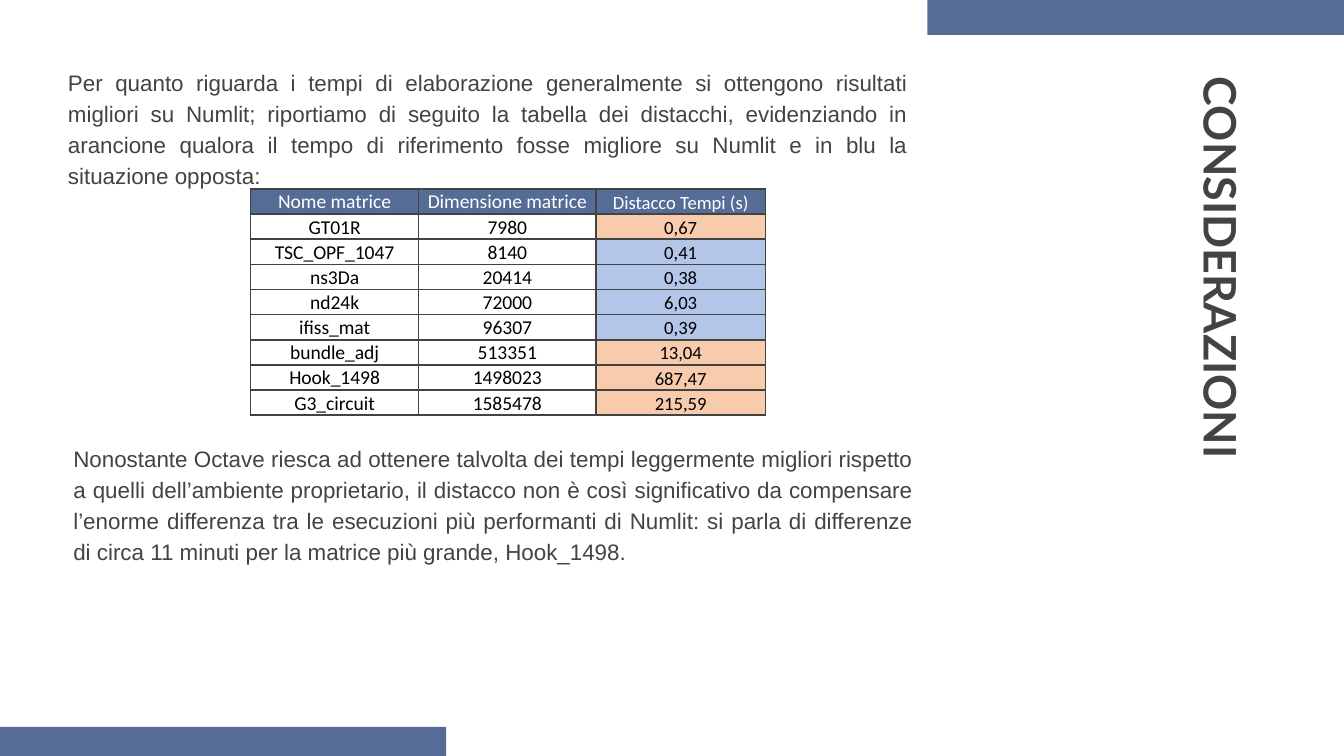
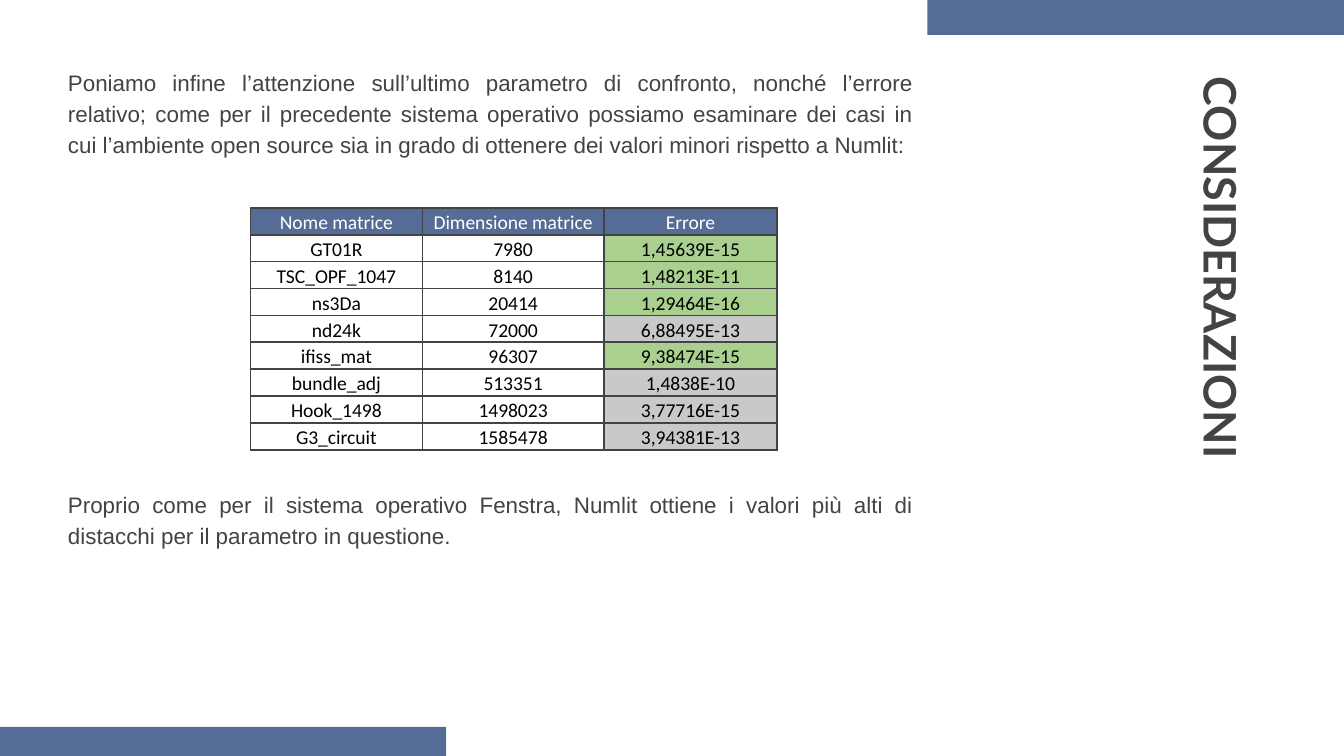
import pptx
import pptx.dml.color
import pptx.enum.shapes
import pptx.enum.text
import pptx.oxml
import pptx.oxml.ns
import pptx.util

WIDTH = pptx.util.Inches(10)
HEIGHT = WIDTH * 9 // 16
COLORS = {
    "band": "556D96", "text": "434343", "white": "FFFFFF", "black": "000000",
    "orange": "F8CBAD", "blue": "B4C6E7", "green": "A9D08E", "grey": "C9C9C9",
}
ALIGN = pptx.enum.text.PP_ALIGN
ANCHOR = pptx.enum.text.MSO_ANCHOR
MATRICES = [
    ("GT01R", "7980"), ("TSC_OPF_1047", "8140"), ("ns3Da", "20414"),
    ("nd24k", "72000"), ("ifiss_mat", "96307"), ("bundle_adj", "513351"),
    ("Hook_1498", "1498023"), ("G3_circuit", "1585478"),
]
TIME_GAPS = [
    ("0,67", "orange"), ("0,41", "blue"), ("0,38", "blue"), ("6,03", "blue"),
    ("0,39", "blue"), ("13,04", "orange"), ("687,47", "orange"), ("215,59", "orange"),
]
ERRORS = [
    ("1,45639E-15", "green"), ("1,48213E-11", "green"), ("1,29464E-16", "green"),
    ("6,88495E-13", "grey"), ("9,38474E-15", "green"), ("1,4838E-10", "grey"),
    ("3,77716E-15", "grey"), ("3,94381E-13", "grey"),
]


def col(n):
    """Return the length of n of the slide's 100 columns."""
    return int(WIDTH * n / 100)


def row(n):
    """Return the length of n of the slide's 100 rows."""
    return int(HEIGHT * n / 100)


def box(left, top, width, height):
    """Turn grid units into a left, top, width, height tuple."""
    return col(left), row(top), col(width), row(height)


def rgb(name):
    """Look up a palette colour."""
    return pptx.dml.color.RGBColor.from_string(COLORS[name])


def write(tf, text, size=12, font="Arial", color="text", bold=False,
          align=ALIGN.LEFT, spacing=1.0):
    """Write one formatted paragraph into a text frame."""
    p = tf.paragraphs[0]
    p.alignment = align
    p.line_spacing = spacing
    r = p.add_run()
    r.text = text
    r.font.size = pptx.util.Pt(size)
    r.font.name = font
    r.font.bold = bold
    r.font.color.rgb = rgb(color)


def prepare(tf):
    """Give a text frame the shared margins, wrapping and top anchor."""
    tf.word_wrap = True
    tf.auto_size = pptx.enum.text.MSO_AUTO_SIZE.NONE
    tf.vertical_anchor = ANCHOR.TOP
    tf.margin_left = tf.margin_right = pptx.util.Inches(0.1)
    tf.margin_top = tf.margin_bottom = pptx.util.Inches(0.1)


def add_band(slide, *place):
    """Draw one plain coloured band."""
    sp = slide.shapes.add_shape(pptx.enum.shapes.MSO_SHAPE.RECTANGLE, *box(*place))
    sp.shadow.inherit = False
    sp.fill.solid()
    sp.fill.fore_color.rgb = rgb("band")
    sp.line.fill.background()


def add_base(prs, title):
    """Add a slide with its vertical title and two bands."""
    slide = prs.slides.add_slide(prs.slide_layouts[5])
    sp = slide.shapes.title
    sp.left, sp.top, sp.width, sp.height = box(72.2, 37.55, 38.1, 9.42)
    sp.rotation = 90
    prepare(sp.text_frame)
    write(sp.text_frame, title, size=24, font="Lato", bold=True)
    add_band(slide, 69, 0, 31, 4.62)
    add_band(slide, 0, 96.15, 33.2, 3.85)
    return slide


def add_body(slide, text, *place):
    """Add a justified paragraph."""
    tf = slide.shapes.add_textbox(*box(*place)).text_frame
    prepare(tf)
    write(tf, text, align=ALIGN.JUSTIFY, spacing=1.15)


def add_borders(cell):
    """Outline a cell on all four sides with a one-point line."""
    ns = pptx.oxml.ns.nsdecls("a")
    for side in "LRTB":
        cell._tc.get_or_add_tcPr().append(pptx.oxml.parse_xml(
            f'<a:ln{side} {ns} w="12700"><a:solidFill>'
            f'<a:srgbClr val="{COLORS["text"]}"/></a:solidFill></a:ln{side}>'))


def fill_cell(cell, text, size, color, fill):
    """Format one table cell and write its text."""
    cell.vertical_anchor = ANCHOR.BOTTOM
    cell.margin_left = cell.margin_right = cell.margin_top = pptx.util.Inches(0.01)
    cell.margin_bottom = 0
    add_borders(cell)
    if fill:
        cell.fill.solid()
        cell.fill.fore_color.rgb = rgb(fill)
    else:
        cell.fill.background()
    write(cell.text_frame, text, size=size, font="Calibri", color=color,
          align=ALIGN.CENTER)


def add_matrix_table(slide, measure, results, left, top, widths, row_height,
                     result_size=10.5):
    """Add the table of matrices with one coloured column of results."""
    heads = ("Nome matrice", "Dimensione matrice", measure)
    lines = [[(head, "white", "band") for head in heads]]
    for (name, size), (value, fill) in zip(MATRICES, results):
        lines.append([(name, "black", None), (size, "black", None),
                      (value, "black", fill)])
    place = box(left, top, sum(widths), row_height * len(lines))
    table = slide.shapes.add_table(len(lines), len(heads), *place).table
    table.first_row = table.horz_banding = False
    for i, width in enumerate(widths):
        table.columns[i].width = col(width)
    for i, line in enumerate(lines):
        table.rows[i].height = row(row_height)
        for j, (text, color, fill) in enumerate(line):
            size = result_size if j == 2 else 10.5
            fill_cell(table.cell(i, j), text, size, color, fill)


def add_times_slide(prs):
    """Compare the processing times."""
    slide = add_base(prs, "CONSIDERAZIONI")
    add_body(slide, "Per quanto riguarda i tempi di elaborazione generalmente si "
             "ottengono risultati migliori su Numlit; riportiamo di seguito la tabella "
             "dei distacchi, evidenziando in arancione qualora il tempo di riferimento "
             "fosse migliore su Numlit e in blu la situazione opposta:",
             4.07, 6.83, 64.5, 24.36)
    add_matrix_table(slide, "Distacco Tempi (s)", TIME_GAPS, 18.65, 25,
                     (12.5, 13.2, 12.6), 3.26, result_size=10)
    add_body(slide, "Nonostante Octave riesca ad ottenere talvolta dei tempi "
             "leggermente migliori rispetto a quelli dell’ambiente proprietario, il "
             "distacco non è così significativo da compensare l’enorme differenza tra "
             "le esecuzioni più performanti di Numlit: si parla di differenze di circa "
             "11 minuti per la matrice più grande, Hook_1498.",
             4.47, 56.58, 64.5, 24.36)


def add_errors_slide(prs):
    """Compare the relative errors."""
    slide = add_base(prs, "CONSIDERAZIONI")
    add_body(slide, "Poniamo infine l’attenzione sull’ultimo parametro di confronto, "
             "nonché l’errore relativo; come per il precedente sistema operativo "
             "possiamo esaminare dei casi in cui l’ambiente open source sia in grado di "
             "ottenere dei valori minori rispetto a Numlit:",
             4.07, 6.83, 64.9, 24.36)
    add_matrix_table(slide, "Errore", ERRORS, 18.63, 27.5, (12.8, 13.5, 12.9), 3.56)
    add_body(slide, "Proprio come per il sistema operativo Fenstra, Numlit ottiene i "
             "valori più alti di distacchi per il parametro in questione.",
             4.07, 62.63, 64.9, 13.51)


def main():
    """Build and save the presentation."""
    prs = pptx.Presentation()
    prs.slide_width, prs.slide_height = WIDTH, HEIGHT
    add_times_slide(prs)
    add_errors_slide(prs)
    prs.save("out.pptx")


if __name__ == "__main__":
    main()
